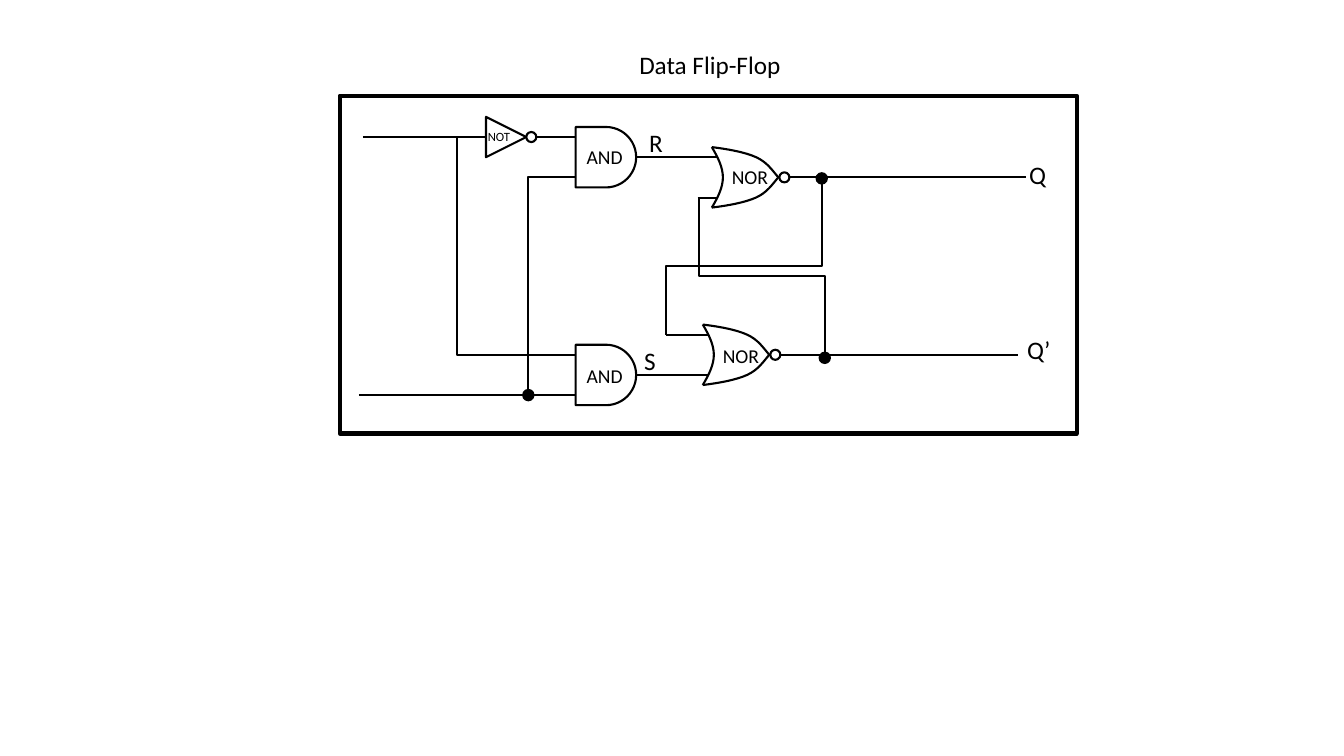
"""Build a one-slide logic diagram of a data flip-flop."""
from lxml import etree
from pptx import Presentation
from pptx.dml.color import RGBColor
from pptx.enum.shapes import MSO_CONNECTOR, MSO_SHAPE
from pptx.enum.text import MSO_ANCHOR, MSO_AUTO_SIZE, PP_ALIGN
from pptx.oxml.ns import qn
from pptx.util import Inches, Pt

STRAIGHT, ELBOW = MSO_CONNECTOR.STRAIGHT, MSO_CONNECTOR.ELBOW
RECT, OVAL = MSO_SHAPE.RECTANGLE, MSO_SHAPE.OVAL
TRIANGLE, DELAY = MSO_SHAPE.ISOSCELES_TRIANGLE, MSO_SHAPE.FLOWCHART_DELAY
TOP, LEFT, NO_FIT = MSO_ANCHOR.TOP, PP_ALIGN.LEFT, MSO_AUTO_SIZE.NONE

COLORS = {"ink": "000000", "paper": "FFFFFF"}
FONT = "Calibri"
TITLE = ("Data Flip-Flop", 6.24, 0.44, 2.3)
FRAME = (3.37, 0.95, 7.31, 3.35)
GATE, STUB, INPUT, BUBBLE, DOT = 0.6, 0.2, 0.2, 0.1, 0.11
NOT_SIZE, NOR_WIDTH = 0.4, 0.66

AND_GATES = [(5.71, 1.56), (5.71, 3.72)]
NOR_GATES = [(7.06, 1.76), (6.97, 3.52)]
NOT_GATE = (4.82, 1.36)
GATE_NAMES = [
    ("NOR", 7.16, 1.59, 14), ("NOR", 7.07, 3.36, 14), ("NOT", 4.74, 1.23, 9),
    ("AND", 5.72, 1.39, 14), ("AND", 5.72, 3.56, 14),
]
SIGNALS = [("R", 6.34, 1.21), ("S", 6.29, 3.38), ("Q", 10.11, 1.53), ("Q’", 10.09, 3.27)]
DOTS = [(5.24, 3.92), (8.18, 3.55), (8.15, 1.77)]
STRAIGHT_WIRES = [
    (3.6, 1.36, 4.53), (3.56, 3.92, 5.51), (6.5, 1.56, 6.92),
    (6.5, 3.72, 6.98), (6.61, 3.32, 6.83), (7.91, 1.76, 10.18), (7.83, 3.52, 10.1),
]
CORNER_WIRES = [((5.52, 1.76), (5.24, 3.91)), ((5.52, 3.52), (4.53, 1.36))]
FEEDBACK_WIRES = [
    ((7.92, 1.76), (8.15, 2.64), (6.61, 3.32)),
    ((6.93, 1.96), (6.93, 2.74), (8.18, 3.53)),
]
NOR_SIDE = [(0, 0.3), (0.16, 0.28), (0.33, 0.25), (0.44, 0.2), (0.55, 0.15), (0.6, 0.07), (0.66, 0)]
NOR_BACK = [(0, -0.3), (0.06, -0.2), (0.11, -0.1), (0.11, 0), (0.11, 0.1), (0.06, 0.2), (0, 0.3)]
NOR_CURVES = [[(dx, -dy) for dx, dy in NOR_SIDE], NOR_SIDE, NOR_BACK]


def color(name):
    return RGBColor.from_string(COLORS[name])


def style(sp, fill=None, weight=1.5):
    sp.shadow.inherit = False
    if fill:
        sp.fill.solid()
        sp.fill.fore_color.rgb = color(fill)
    else:
        sp.fill.background()
    sp.line.color.rgb = color("ink")
    sp.line.width = Pt(weight)


def shape(shapes, kind, x, y, w, h, fill=None, weight=1.5):
    sp = shapes.add_shape(kind, Inches(x), Inches(y), Inches(w), Inches(h))
    style(sp, fill, weight)
    return sp


def wire(shapes, start, end, kind=STRAIGHT):
    c = shapes.add_connector(kind, *(Inches(v) for v in start + end))
    c.line.color.rgb = color("ink")
    c.line.width = Pt(1.5)
    etree.SubElement(c._element.spPr, qn("a:effectLst"))
    return c


def level(shapes, x, y, end):
    wire(shapes, (x, y), (end, y))


def bend(shapes, start, end, preset, shares=()):
    geom = wire(shapes, start, end, ELBOW)._element.spPr.find(qn("a:prstGeom"))
    geom.set("prst", preset)
    guides = geom.find(qn("a:avLst"))
    for i, share in enumerate(shares, 1):
        etree.SubElement(guides, qn("a:gd"), name=f"adj{i}", fmla=f"val {round(share * 100000)}")


def curve(shapes, points):
    """Draw cubic arcs, each given by two handles and an end point."""
    start, *rest = [(Inches(x), Inches(y)) for x, y in points]
    outline = shapes.build_freeform(*start)
    outline.add_line_segments(rest, close=False)
    sp = outline.convert_to_shape()
    style(sp)
    route = next(sp._element.iter(qn("a:path")))
    lines = route.findall(qn("a:lnTo"))
    for i in range(0, len(lines), 3):
        arc = etree.SubElement(route, qn("a:cubicBezTo"))
        for line in lines[i:i + 3]:
            arc.append(line[0])
            route.remove(line)


def write(sp, text, size):
    tf = sp.text_frame
    tf.text = text
    tf.auto_size, tf.word_wrap, tf.vertical_anchor = NO_FIT, True, TOP
    p = tf.paragraphs[0]
    p.alignment = LEFT
    p.line_spacing = 1.0
    f = p.runs[0].font
    f.name, f.size = FONT, Pt(size)
    f.color.rgb = color("ink")


def label(text, x, y, w, h, size):
    write(s.shapes.add_textbox(Inches(x), Inches(y), Inches(w), Inches(h)), text, size)


def bubble(shapes, x, cy):
    shape(shapes, OVAL, x, cy - BUBBLE / 2, BUBBLE, BUBBLE, "paper")


def inputs(shapes, x, cy):
    for y in (cy - INPUT, cy + INPUT):
        level(shapes, x, y, x + STUB)


def and_gate(x, cy):
    g = s.shapes.add_group_shape().shapes
    shape(g, DELAY, x, cy - GATE / 2, GATE, GATE)
    level(g, x + GATE, cy, x + GATE + STUB)
    inputs(g, x - STUB, cy)


def nor_gate(x, cy):
    g = s.shapes.add_group_shape().shapes
    tip = x + NOR_WIDTH
    level(g, tip, cy, tip + STUB)
    inputs(g, x - 0.14, cy)
    bubble(g, tip + 0.01, cy)
    for offsets in NOR_CURVES:
        curve(g, [(x + dx, cy + dy) for dx, dy in offsets])


def not_gate(x, cy):
    g = s.shapes.add_group_shape().shapes
    tip = x + NOT_SIZE
    shape(g, TRIANGLE, x, cy - NOT_SIZE / 2, NOT_SIZE, NOT_SIZE).rotation = 90
    level(g, tip, cy, tip + 0.3)
    level(g, x, cy, x - 0.3)
    bubble(g, tip, cy)


prs = Presentation()
prs.slide_width, prs.slide_height = Inches(13.33), Inches(7.5)
s = prs.slides.add_slide(prs.slide_layouts[5])

text, x, y, w = TITLE
title = s.shapes.title
title.left, title.top, title.width, title.height = (Inches(v) for v in (x, y, w, 0.4))
write(title, text, 18)

for x, y, end in STRAIGHT_WIRES:
    level(s.shapes, x, y, end)
for start, turn, end in FEEDBACK_WIRES:
    shares = [(t - a) / (b - a) for a, t, b in zip(start, turn, end)]
    bend(s.shapes, start, end, "bentConnector4", shares)
for text, x, y in SIGNALS:
    label(text, x, y, 0.6 if len(text) > 1 else 0.34, 0.4, 18)
for x, cy in NOR_GATES:
    nor_gate(x, cy)
for x, cy in AND_GATES:
    and_gate(x, cy)
not_gate(*NOT_GATE)
for start, end in CORNER_WIRES:
    bend(s.shapes, start, end, "bentConnector2")
for x, y in DOTS:
    shape(s.shapes, OVAL, x - DOT / 2, y - DOT / 2, DOT, DOT, "ink", 1)
shape(s.shapes, RECT, *FRAME, weight=3)
for text, x, y, size in GATE_NAMES:
    label(text, x, y, 0.68, 0.34 if size > 9 else 0.25, size)

prs.save("out.pptx")
